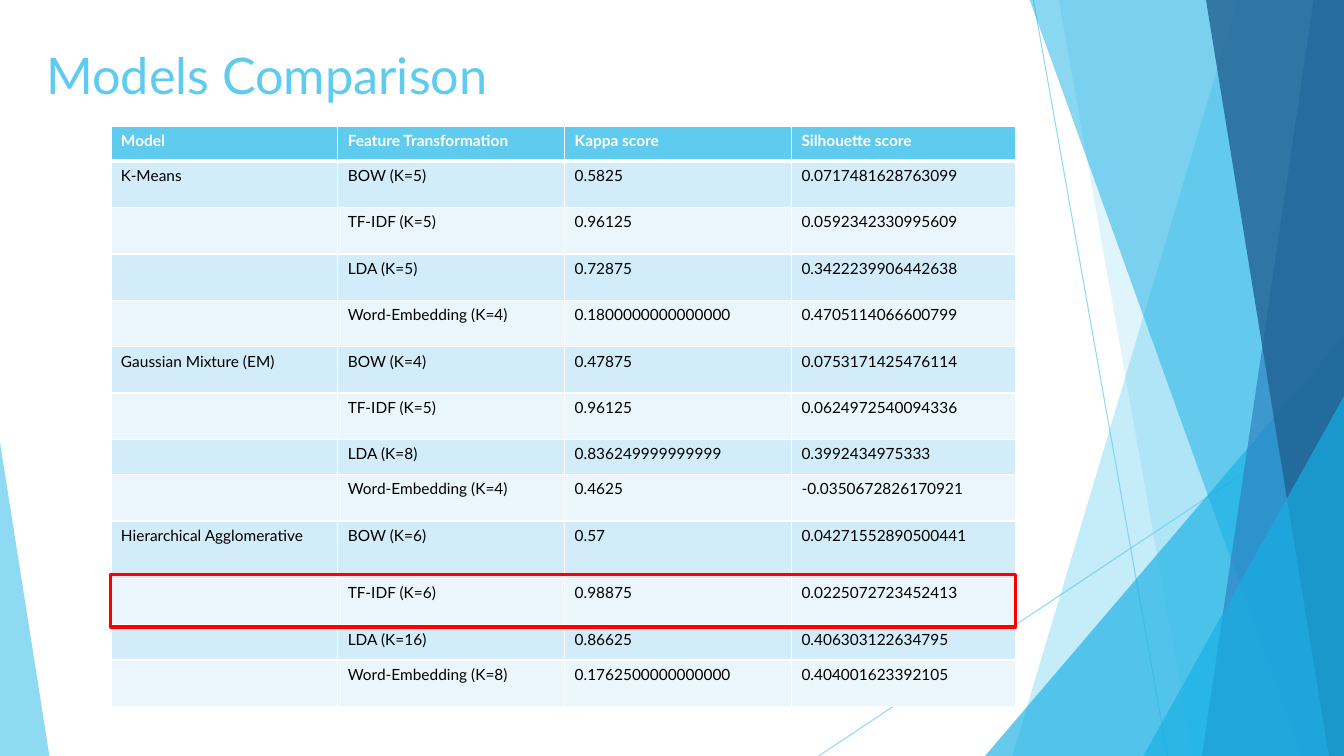
from lxml.etree import SubElement as Sub
from pptx import Presentation
from pptx.dml.color import RGBColor as RGB
from pptx.enum.shapes import MSO_CONNECTOR as Link, MSO_SHAPE as Kind
from pptx.oxml.ns import qn
from pptx.util import Pt

PX = 9144  # EMU in one px, 100 px to the inch
WIDE, HIGH = 1333, 750
SKY, CYAN, BLUE, NAVY = "5FCBEF", "17B0E4", "2E83C3", "226292"
WHITE, BLACK, RED = "FFFFFF", "000000", "FF0000"
BANDS = ["D2ECF9", "EAF6FC"]


def px(*nums):
    return [n * PX for n in nums]


def tint(fmt, color, alpha=100):
    """Give a fill a solid colour, see-through below 100."""
    fmt.solid()
    fmt.fore_color.rgb = RGB.from_string(color)
    if alpha < 100:
        node = fmt._xPr.find(qn("a:solidFill"))[0]
        Sub(node, qn("a:alpha"), val=str(alpha * 1000))


class Deck:
    base = {"name": "Lato", "size": Pt(11), "bold": False}

    def __init__(self):
        self.prs = Presentation()
        self.prs.slide_width, self.prs.slide_height = px(WIDE, HIGH)
        self.slide = self.prs.slides.add_slide(self.prs.slide_layouts[6])
        self.shapes = self.slide.shapes

    def label(self, frame, text, color, **style):
        run = frame.paragraphs[0].add_run()
        run.text = text
        for key, value in {**self.base, **style}.items():
            setattr(run.font, key, value)
        tint(run.font.fill, color)

    def text(self, box, text, color, **style):
        frame = self.shapes.add_textbox(*px(*box)).text_frame
        frame.word_wrap = True
        self.label(frame, text, color, **style)

    def line(self, ends, color, alpha):
        line = self.shapes.add_connector(Link.STRAIGHT, *px(*ends))
        line.line.width = Pt(0.75)
        tint(line.line.fill, color, alpha)
        Sub(line._element.spPr, qn("a:effectLst"))

    def paint(self, shape, color, alpha):
        shape.shadow.inherit = False
        tint(shape.fill, color, alpha)
        shape.line.fill.background()

    def band(self, top, foot, color, alpha):
        """Slanted band from a left edge to the right side of the slide."""
        form = self.shapes.build_freeform(top, -1, scale=PX)
        form.add_line_segments([(WIDE, -1), (WIDE, HIGH), (foot, HIGH)])
        self.paint(form.convert_to_shape(), color, alpha)

    def wedge(self, box, tip, color, alpha):
        shape = self.shapes.add_shape(Kind.ISOSCELES_TRIANGLE, *px(*box))
        shape.adjustments[0] = tip
        self.paint(shape, color, alpha)

    def frame(self, box, color, width):
        shape = self.shapes.add_shape(Kind.RECTANGLE, *px(*box))
        shape.shadow.inherit = False
        shape.fill.background()
        tint(shape.line.fill, color)
        shape.line.width = Pt(width)

    def edge(self, cell, row):
        """White borders, thick under the header row."""
        wide = {"lnB": row == 0, "lnT": row == 1}
        for side in ("lnL", "lnR", "lnT", "lnB"):
            width = Pt(3 if wide.get(side) else 1)
            line = Sub(cell._tc.get_or_add_tcPr(), qn("a:" + side), w=str(width))
            Sub(Sub(line, qn("a:solidFill")), qn("a:srgbClr"), val=WHITE)

    def table(self, left, top, cols, highs, rows):
        box = px(left, top, sum(cols), sum(highs))
        grid = self.shapes.add_table(len(rows), len(cols), *box).table
        for col, width in zip(grid.columns, cols):
            col.width = width * PX
        for r, (high, row) in enumerate(zip(highs, rows)):
            grid.rows[r].height = high * PX
            for c, text in enumerate(row):
                cell = grid.cell(r, c)
                self.edge(cell, r)
                tint(cell.fill, BANDS[(r - 1) % 2] if r else SKY)
                if text:
                    ink = BLACK if r else WHITE
                    self.label(cell.text_frame, text, ink, bold=r == 0)
                else:  # keep empty cells from stretching low rows
                    para = cell.text_frame.paragraphs[0]._p
                    para.get_or_add_endParaRPr().set("sz", "1100")


HEAD = ["Model", "Feature Transformation", "Kappa score", "Silhouette score"]
MODELS = {
    "K-Means": [
        ("BOW (K=5)", "0.5825", "0.0717481628763099"),
        ("TF-IDF (K=5)", "0.96125", "0.0592342330995609"),
        ("LDA (K=5)", "0.72875", "0.3422239906442638"),
        ("Word-Embedding (K=4)", "0.1800000000000000", "0.4705114066600799"),
    ],
    "Gaussian Mixture (EM)": [
        ("BOW (K=4)", "0.47875", "0.0753171425476114"),
        ("TF-IDF (K=5)", "0.96125", "0.0624972540094336"),
        ("LDA (K=8)", "0.836249999999999", "0.3992434975333"),
        ("Word-Embedding (K=4)", "0.4625", "-0.0350672826170921"),
    ],
    "Hierarchical Agglomerative": [
        ("BOW (K=6)", "0.57", "0.04271552890500441"),
        ("TF-IDF (K=6)", "0.98875", "0.0225072723452413"),
        ("LDA (K=16)", "0.86625", "0.406303122634795"),
        ("Word-Embedding (K=8)", "0.1762500000000000", "0.404001623392105"),
    ],
}


def main():
    deck = Deck()

    # Backdrop: thin lines, slanted bands and wedges
    deck.line((1025, 0, 1158, HIGH), SKY, 70)
    deck.line((WIDE, 403, 812, HIGH), SKY, 70)
    deck.band(1228, 1004, SKY, 36)
    deck.band(1050, 1183, SKY, 20)
    deck.wedge((977, 333, 356, 417), 1, CYAN, 66)
    deck.band(1021, 1291, CYAN, 50)
    deck.band(1303, 1192, BLUE, 70)
    deck.band(1196, 1318, NAVY, 80)
    deck.wedge((1134, 393, 199, 357), 1, CYAN, 66)
    deck.wedge((0, 439, 49, 311), 0, SKY, 70)

    # Title
    deck.text((36, 39, 940, 144), "Models Comparison", SKY, size=Pt(36))

    # Table of scores, each model named on its first row only
    rows = [HEAD]
    for model, tests in MODELS.items():
        rows += [(model if i == 0 else "", *test) for i, test in enumerate(tests)]
    highs = [46] * len(rows)
    for r, high in {0: 35, 7: 35, 9: 57, 11: 35}.items():
        highs[r] = high
    deck.table(110, 125, [225, 225, 225, 222], highs, rows)

    # Frame around the best kappa score
    deck.frame((110, 570, 897, 52), RED, 2.25)

    deck.prs.save("out.pptx")


if __name__ == "__main__":
    main()
